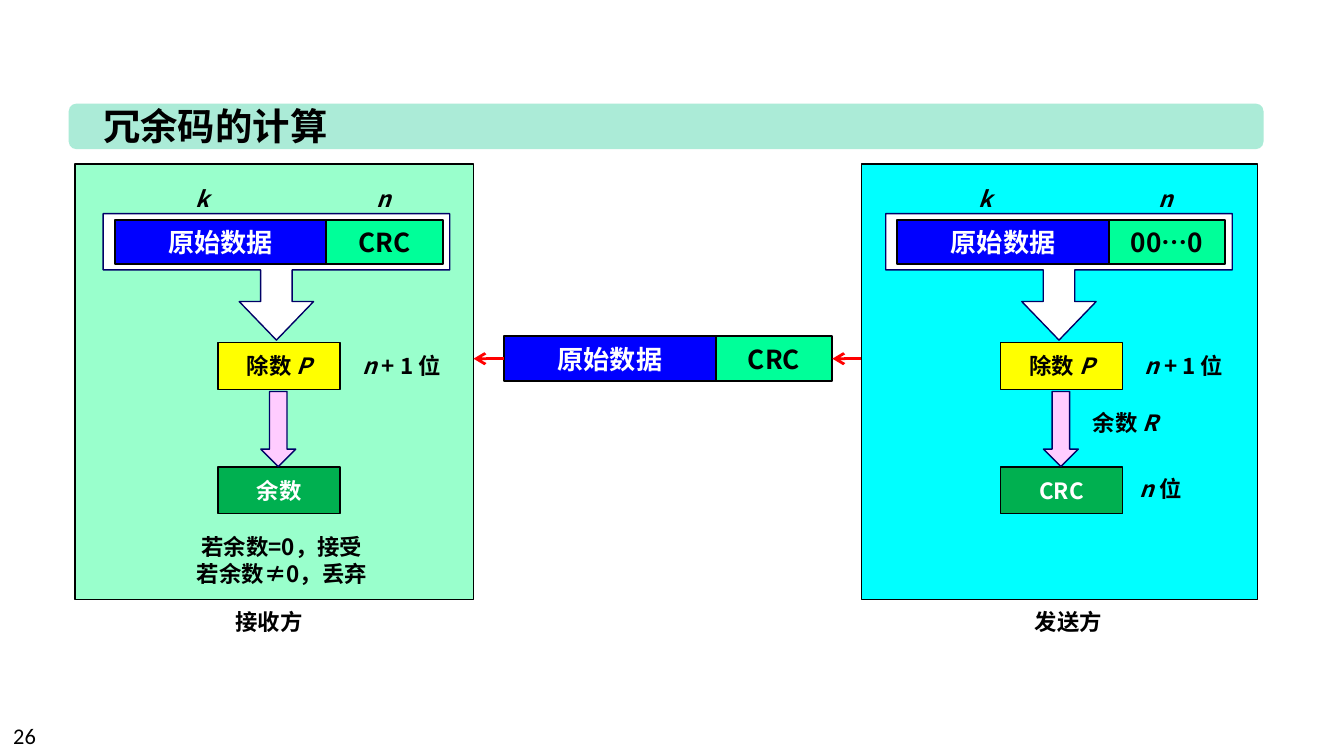
from pptx import Presentation
from pptx.dml.color import RGBColor
from pptx.enum.shapes import MSO_CONNECTOR, MSO_SHAPE
from pptx.enum.text import MSO_ANCHOR, PP_ALIGN
from pptx.oxml.ns import qn
from pptx.oxml.xmlchemy import OxmlElement
from pptx.util import Cm, Pt

RECT = MSO_SHAPE.RECTANGLE
ROUND = MSO_SHAPE.ROUNDED_RECTANGLE
CALL = MSO_SHAPE.DOWN_ARROW_CALLOUT
DOWN = MSO_SHAPE.DOWN_ARROW
LINE = MSO_CONNECTOR.STRAIGHT
LEFT, MID, RIGHT = PP_ALIGN.LEFT, PP_ALIGN.CENTER, PP_ALIGN.RIGHT
CJK = "Noto Sans CJK SC"

TITLE = "冗余码的计算"
SIDES = [
    dict(x=16.28, w=7.49, base=16.74, fill="00FFFF", tail="00…0", out="CRC",
         notes=[("余数 *R*", 3.63, 7.61, 1.8, 1.24, True),
                ("*n *位", 4.52, 8.86, 1.35, 1.27, True)],
         name="发送方", name_x=19.28),
    dict(x=1.42, w=7.53, base=1.95, fill="99FFCC", tail="CRC", out="余数",
         notes=[("若余数=0，接受\n若余数≠0，丢弃", 0.33, 9.96, 6.1, 1.27, True)],
         name="接收方", name_x=4.17),
]
LABELS = [("*k*", 1.22, 3.38, 1.32, 0.76, True),
          ("*n*", 4.62, 3.38, 1.35, 0.76, True),
          ("*n* + 1 位", 4.55, 6.53, 2.18, 0.76, False)]
TOP, HIGH = 3.1, 8.23
DATA_W, TAIL_W, BAR_H = 4, 2.2, 0.84
BAR_X, BAR_Y = 9.53, 6.36
STEP_X, STEP_W, STEP_H = 2.17, 2.31, 0.88

deck = Presentation()
deck.slide_width, deck.slide_height = Cm(25.4), Cm(14.29)
slide = deck.slides.add_slide(deck.slide_layouts[6])
shapes = slide.shapes


def rgb(code):
    return RGBColor.from_string(code)


def write(frame, text, size=12, color="000000", align=MID, font=CJK, bold=True):
    for i, row in enumerate(text.split("\n")):
        para = frame.add_paragraph() if i else frame.paragraphs[0]
        para.alignment = align
        face = para.font
        face.size, face.bold, face.name = Pt(size), bold, font
        face.color.rgb = rgb(color)
        east = OxmlElement("a:ea")
        east.set("typeface", font)
        para._p.pPr.find(qn("a:defRPr")).append(east)
        for j, part in enumerate(row.split("*")):
            if part:
                run = para.add_run()
                run.text = part
                if j % 2:
                    run.font.italic = True


def box(kind, x, y, w, h, fill, line=None, width=0.75, adj=()):
    item = shapes.add_shape(kind, Cm(x), Cm(y), Cm(w), Cm(h))
    item.shadow.inherit = False
    item.fill.solid()
    item.fill.fore_color.rgb = rgb(fill)
    if line:
        item.line.color.rgb = rgb(line)
        item.line.width = Pt(width)
    else:
        item.line.fill.background()
    for i, value in enumerate(adj):
        item.adjustments[i] = value
    return item


def cell(text, x, y, w, h, fill, color="000000", size=12, width=0.75):
    item = box(RECT, x, y, w, h, fill, "000000", width)
    item.text_frame.vertical_anchor = MSO_ANCHOR.MIDDLE
    write(item.text_frame, text, size, color)
    return item


def label(text, x, y, w, h=0.76, wrap=False, **style):
    frame = shapes.add_textbox(Cm(x), Cm(y), Cm(w), Cm(h)).text_frame
    frame.word_wrap = wrap
    write(frame, text, **style)


def bar(x, y, tail):
    data = cell("原始数据", x, y, DATA_W, BAR_H, "0000FF", "FFFFFF", 14, 1)
    code = cell(tail, x + DATA_W, y, TAIL_W, BAR_H, "00FF99", size=14, width=1)
    return data, code


def arrow(x, end):
    y = Cm(BAR_Y + BAR_H / 2)
    item = shapes.add_connector(LINE, Cm(x), y, Cm(end), y)
    item.line.color.rgb = rgb("FF0000")
    item.line.width = Pt(1.5)
    head = OxmlElement("a:tailEnd")
    head.set("type", "arrow")
    item.line._get_or_add_ln().append(head)
    item._element.spPr.append(OxmlElement("a:effectLst"))
    return item


def side(x, w, base, fill, tail, out, notes, name, name_x):
    box(RECT, x, TOP, w, HIGH, fill, "000000")
    for text, dx, y, wide, high, wrap in LABELS + notes:
        label(text, base + dx, y, wide, high, wrap)
    box(CALL, base, 4.04, 6.55, 2.39, "FFFFFF", "000066",
        adj=(0.249, 0.294, 0.305, 0.445))
    bar(base + 0.22, 4.16, tail)
    step = base + STEP_X
    cell("除数 *P*", step, 6.48, STEP_W, STEP_H, "FFFF00")
    cell(out, step, 8.83, STEP_W, STEP_H, "00B050", "FFFFFF")
    box(DOWN, step + 0.81, 7.4, 0.66, 1.42, "FFCCFF", "000066")
    label(name, name_x, 11.37, 1.8, align=RIGHT)


box(ROUND, 1.3, 1.96, 22.58, 0.86, "ABEBD7", adj=(0.167,))
label(TITLE, 1.7, 1.83, 4.78, 1.12, size=20, align=LEFT)
for part in SIDES:
    side(**part)
data, code = bar(BAR_X, BAR_Y, "CRC")
sender, taker = SIDES
arrow(sender["x"], BAR_X + DATA_W + TAIL_W).end_connect(code, 3)
arrow(BAR_X, taker["x"] + taker["w"]).begin_connect(data, 1)
label("26", 0, 13.52, 5.92, wrap=True, align=LEFT, font="Calibri", bold=False)

deck.save("out.pptx")
